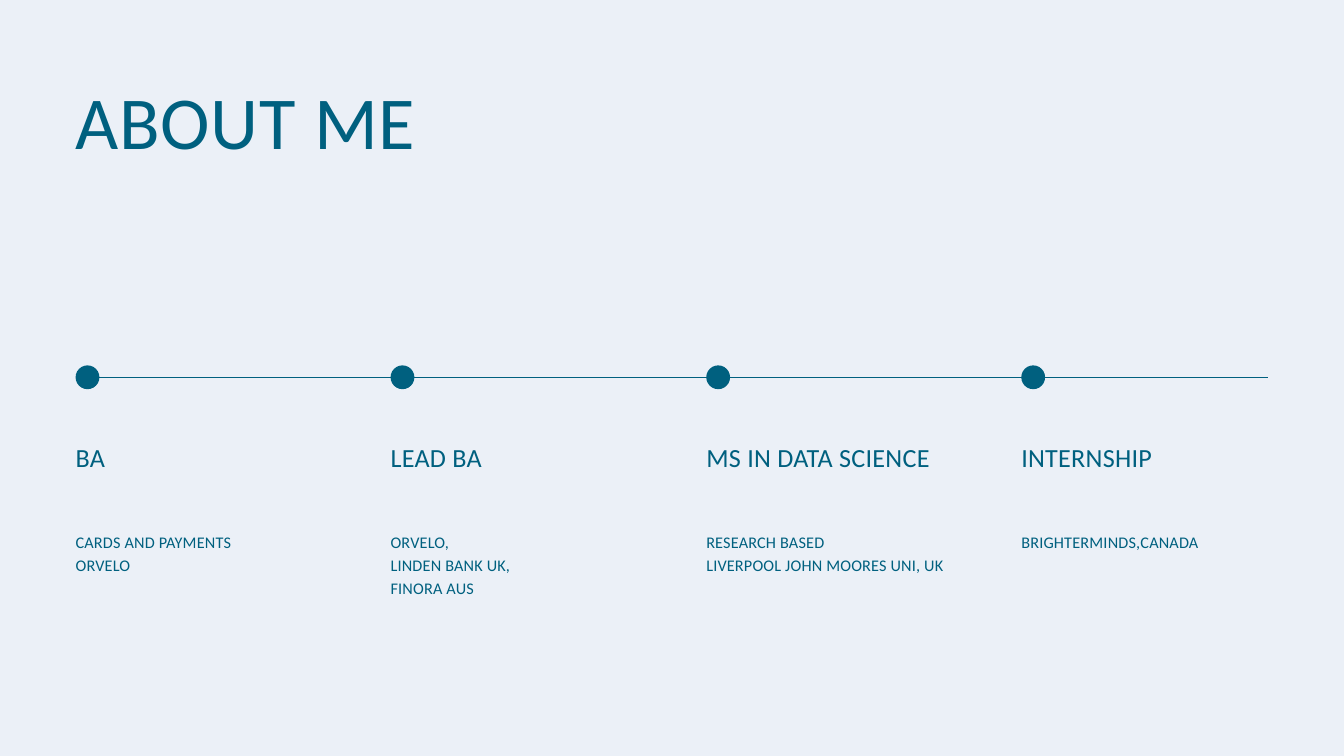
from dataclasses import dataclass

from lxml import etree
from pptx import Presentation
from pptx.dml.color import RGBColor
from pptx.enum.shapes import MSO_CONNECTOR, MSO_SHAPE
from pptx.enum.text import MSO_ANCHOR, MSO_AUTO_SIZE, PP_ALIGN
from pptx.oxml.ns import qn
from pptx.util import Pt

STRAIGHT = MSO_CONNECTOR.STRAIGHT
OVAL = MSO_SHAPE.OVAL
TOP = MSO_ANCHOR.TOP
LEFT = PP_ALIGN.LEFT
NO_AUTOFIT = MSO_AUTO_SIZE.NONE
TITLE_ONLY = 5
EMU_PER_PX = 9525


@dataclass(frozen=True)
class TextStyle:
    size: float
    line_spacing: float
    tracking: int  # hundredths of a point


@dataclass(frozen=True)
class Theme:
    background: RGBColor = RGBColor(0xEB, 0xF0, 0xF7)
    ink: RGBColor = RGBColor(0x00, 0x60, 0x7F)
    font: str = "Calibri"
    title: TextStyle = TextStyle(80, 96, 80)
    heading: TextStyle = TextStyle(28, 36.4, 30)
    detail: TextStyle = TextStyle(17.4, 24.4, 20)


THEME = Theme()

# Layout in px
SLIDE_WIDTH, SLIDE_HEIGHT = 1920, 1080
MARGIN = 108
CONTENT_WIDTH = SLIDE_WIDTH - 2 * MARGIN
COLUMN_WIDTH = 353
TITLE_TOP, TITLE_HEIGHT = 107, 129
AXIS_Y = 539
DOT_SIZE = 34
HEADING_TOP, HEADING_HEIGHT = 627, 47
DETAIL_TOP, DETAIL_LINE_HEIGHT = 756, 31

MILESTONES = [
    ("BA", ["CARDS AND PAYMENTS", "ORVELO"]),
    ("LEAD BA", ["ORVELO,", "LINDEN BANK UK,", "FINORA AUS"]),
    ("MS IN DATA SCIENCE", ["RESEARCH BASED", "LIVERPOOL JOHN MOORES UNI, UK"]),
    ("INTERNSHIP", ["BRIGHTERMINDS,CANADA"]),
]


def px(length):
    return length * EMU_PER_PX


def write_lines(shape, lines, style):
    frame = shape.text_frame
    frame.word_wrap = True
    frame.auto_size = NO_AUTOFIT
    frame.vertical_anchor = TOP
    frame.margin_left = frame.margin_top = 0
    frame.margin_right = frame.margin_bottom = 0
    for index, line in enumerate(lines):
        paragraph = frame.add_paragraph() if index else frame.paragraphs[0]
        paragraph.alignment = LEFT
        paragraph.line_spacing = Pt(style.line_spacing)
        paragraph.space_before = Pt(0)
        run = paragraph.add_run()
        run.text = line
        run.font.name = THEME.font
        run.font.size = Pt(style.size)
        run.font.color.rgb = THEME.ink
        run._r.get_or_add_rPr().set("spc", str(style.tracking))


def add_title(slide, text):
    title = slide.shapes.title
    title.left, title.top = px(MARGIN), px(TITLE_TOP)
    title.width, title.height = px(CONTENT_WIDTH), px(TITLE_HEIGHT)
    write_lines(title, [text], THEME.title)


def add_text(slide, left, top, height, lines, style):
    box = slide.shapes.add_textbox(px(left), px(top), px(COLUMN_WIDTH), px(height))
    write_lines(box, lines, style)


def add_axis(slide):
    axis = slide.shapes.add_connector(
        STRAIGHT, px(MARGIN + DOT_SIZE // 2), px(AXIS_Y),
        px(MARGIN + CONTENT_WIDTH), px(AXIS_Y))
    axis.line.color.rgb = THEME.ink
    axis.line.width = Pt(1.5)
    etree.SubElement(axis._element.spPr, qn("a:effectLst"))


def add_dot(slide, left):
    dot = slide.shapes.add_shape(
        OVAL, px(left), px(AXIS_Y - DOT_SIZE // 2), px(DOT_SIZE), px(DOT_SIZE))
    dot.shadow.inherit = False
    dot.fill.solid()
    dot.fill.fore_color.rgb = THEME.ink
    dot.line.fill.background()


def add_milestone(slide, left, heading, details):
    add_dot(slide, left)
    add_text(slide, left, HEADING_TOP, HEADING_HEIGHT, [heading], THEME.heading)
    add_text(slide, left, DETAIL_TOP, DETAIL_LINE_HEIGHT * len(details),
             details, THEME.detail)


def main():
    presentation = Presentation()
    presentation.slide_width = px(SLIDE_WIDTH)
    presentation.slide_height = px(SLIDE_HEIGHT)
    slide = presentation.slides.add_slide(presentation.slide_layouts[TITLE_ONLY])
    slide.background.fill.solid()
    slide.background.fill.fore_color.rgb = THEME.background

    add_title(slide, "ABOUT ME")

    # Timeline: columns spread evenly between the margins
    add_axis(slide)
    spread = CONTENT_WIDTH - COLUMN_WIDTH
    for index, (heading, details) in enumerate(MILESTONES):
        left = MARGIN + round(index * spread / (len(MILESTONES) - 1))
        add_milestone(slide, left, heading, details)

    presentation.save("out.pptx")


if __name__ == "__main__":
    main()
